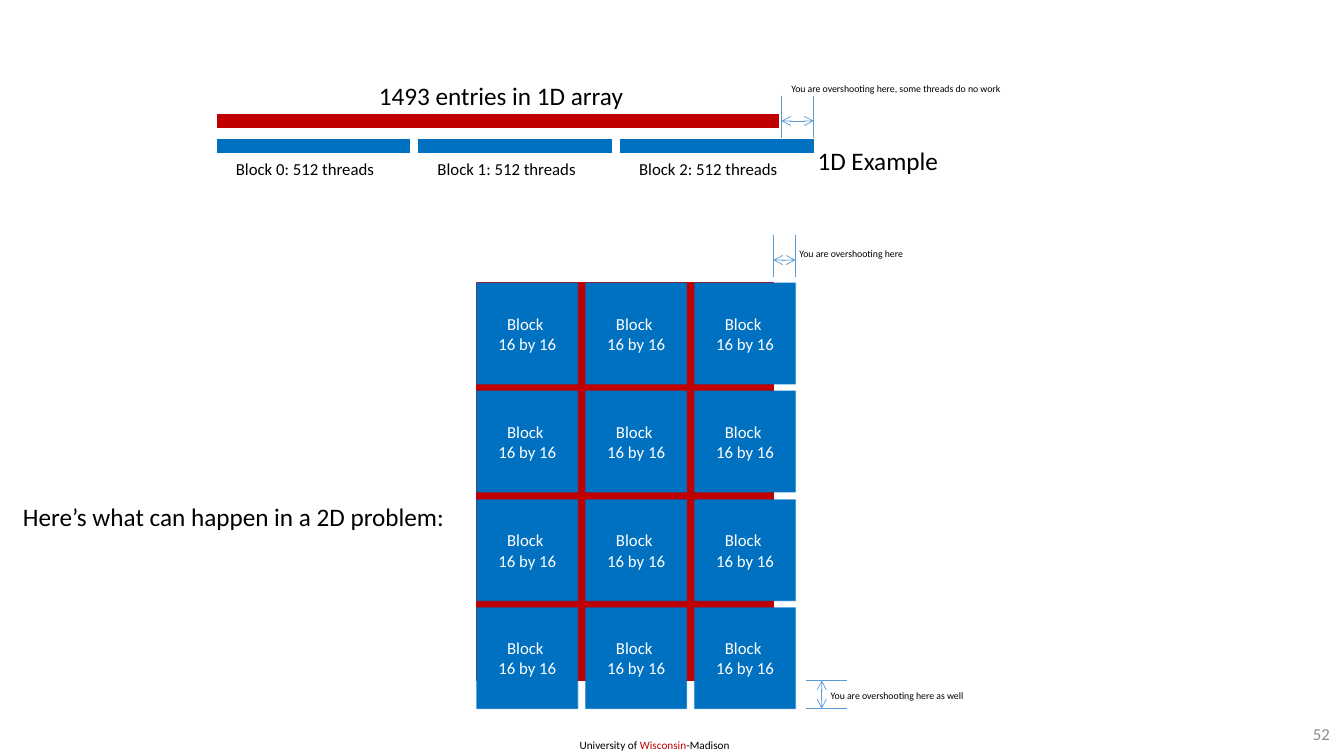
import dataclasses

import lxml.etree
import pptx
import pptx.dml.color
import pptx.enum.shapes
import pptx.enum.text
import pptx.oxml.ns
import pptx.shapes.autoshape
import pptx.shapes.connector
import pptx.shapes.shapetree
import pptx.util

Color = pptx.dml.color.RGBColor
Align = pptx.enum.text.PP_ALIGN
Shapes = pptx.shapes.shapetree.SlideShapes | pptx.shapes.shapetree.GroupShapes

SCALE = 9144  # EMU per px, 100 px to the inch
BLACK = Color(0x00, 0x00, 0x00)
WHITE = Color(0xFF, 0xFF, 0xFF)
GRAY = Color(0x8C, 0x8C, 0x8C)
RED = Color(0xC0, 0x00, 0x00)
BLUE = Color(0x00, 0x70, 0xC0)
PALE = Color(0x5B, 0x9B, 0xD5)


@dataclasses.dataclass
class Label:
    text: str
    left: int
    top: int
    width: int
    height: int
    size: int


@dataclasses.dataclass
class Bar:
    left: int
    right: int
    y: int
    color: Color


@dataclasses.dataclass
class Gauge:
    """Two limit lines at low and high, with a double arrow between them."""
    low: int
    high: int
    start: int
    end: int
    arrow: int
    upright: bool = False


BARS = [Bar(215 + 200 * i, 407 + 200 * i, 145, BLUE) for i in range(3)]
BARS.append(Bar(215, 773, 120, RED))

LABELS = [Label(f"Block {i}: 512 threads", 224 + 200 * i, 153, 159, 30, 12)
          for i in range(3)]
LABELS += [
    Label("1493 entries in 1D array", 366, 75, 265, 40, 18),
    Label("1D Example", 801, 139, 141, 40, 18),
    Label("Here’s what can happen in a 2D problem:", 13, 492, 444, 40, 18),
    Label("You are overshooting here", 783, 241, 126, 22, 7),
    Label("You are overshooting here as well", 814, 679, 156, 22, 7),
    Label("You are overshooting here, some threads do no work",
          775, 77, 234, 22, 7),
]

GAUGES = [
    Gauge(767, 789, 233, 275, 258),
    Gauge(675, 703, 799, 840, 815, upright=True),
    Gauge(775, 807, 95, 137, 120),
]


def emu(*sizes: int) -> list[int]:
    return [size * SCALE for size in sizes]


def style(para, size: int, color: Color) -> None:
    for run in para.runs:
        run.font.name = "Calibri"
        run.font.size = pptx.util.Pt(size)
        run.font.color.rgb = color


def add_label(shapes: Shapes, label: Label, color: Color = BLACK,
              wrap: bool = False) -> pptx.shapes.autoshape.Shape:
    box = shapes.add_textbox(
        *emu(label.left, label.top, label.width, label.height))
    frame = box.text_frame
    frame.text = label.text
    frame.word_wrap = wrap
    frame.auto_size = pptx.enum.text.MSO_AUTO_SIZE.SHAPE_TO_FIT_TEXT
    style(frame.paragraphs[0], label.size, color)
    return box


def add_line(shapes: Shapes, ends: tuple[int, int, int, int], color: Color,
             width: float) -> pptx.shapes.connector.Connector:
    line = shapes.add_connector(
        pptx.enum.shapes.MSO_CONNECTOR.STRAIGHT, *emu(*ends))
    line.line.color.rgb = color
    line.line.width = pptx.util.Pt(width)
    lxml.etree.SubElement(line._element.spPr,
                          pptx.oxml.ns.qn("a:effectLst"))
    return line


def add_gauge(shapes: Shapes, gauge: Gauge) -> None:
    group = shapes.add_group_shape().shapes
    lines = [(gauge.low, gauge.start, gauge.low, gauge.end),
             (gauge.high, gauge.start, gauge.high, gauge.end),
             (gauge.low, gauge.arrow, gauge.high, gauge.arrow)]
    for x1, y1, x2, y2 in lines:
        ends = (y1, x1, y2, x2) if gauge.upright else (x1, y1, x2, y2)
        line = add_line(group, ends, PALE, 0.5)
    outline = line.line._get_or_add_ln()
    for tag in ("a:headEnd", "a:tailEnd"):
        lxml.etree.SubElement(outline, pptx.oxml.ns.qn(tag), type="arrow")


def add_rect(shapes: Shapes, left: int, top: int, width: int, height: int,
             color: Color) -> pptx.shapes.autoshape.Shape:
    rect = shapes.add_shape(pptx.enum.shapes.MSO_SHAPE.RECTANGLE,
                            *emu(left, top, width, height))
    rect.shadow.inherit = False
    rect.fill.solid()
    rect.fill.fore_color.rgb = color
    rect.line.color.rgb = color
    rect.line.width = pptx.util.Pt(1)
    return rect


def add_block(shapes: Shapes, left: int, top: int) -> None:
    block = add_rect(shapes, left, top, 100, 100, BLUE)
    tint = block.line._get_or_add_ln().find(".//" + pptx.oxml.ns.qn("a:srgbClr"))
    lxml.etree.SubElement(tint, pptx.oxml.ns.qn("a:alpha"), val="53000")
    frame = block.text_frame
    frame.vertical_anchor = pptx.enum.text.MSO_ANCHOR.MIDDLE
    para = frame.paragraphs[0]
    para.text = "Block \v16 by 16"
    para.alignment = Align.CENTER
    style(para, 12, WHITE)


def add_footer(shapes: Shapes) -> None:
    label = Label("University of ", 565, 728, 172, 24, 8)
    para = add_label(shapes, label, wrap=True).text_frame.paragraphs[0]
    for text in ("Wisconsin", "-Madison"):
        para.add_run().text = text
    style(para, label.size, BLACK)
    para.runs[1].font.color.rgb = RED

    page = add_label(shapes, Label("52", 1253, 713, 76, 29, 12), GRAY, True)
    page.text_frame.auto_size = pptx.enum.text.MSO_AUTO_SIZE.NONE
    page.text_frame.vertical_anchor = pptx.enum.text.MSO_ANCHOR.MIDDLE
    page.text_frame.paragraphs[0].alignment = Align.RIGHT


def main() -> None:
    deck = pptx.Presentation()
    deck.slide_width, deck.slide_height = emu(1333, 750)
    shapes = deck.slides.add_slide(deck.slide_layouts[6]).shapes

    add_footer(shapes)
    for bar in BARS:
        add_line(shapes, (bar.left, bar.y, bar.right, bar.y), bar.color, 10)

    add_rect(shapes, 473, 281, 294, 394, RED)
    grid = shapes.add_group_shape().shapes
    for row in range(4):
        for col in range(3):
            add_block(grid, 473 + 108 * col, 281 + round(107.4 * row))

    for label in LABELS:
        add_label(shapes, label)
    for gauge in GAUGES:
        add_gauge(shapes, gauge)
    deck.save("out.pptx")


if __name__ == "__main__":
    main()
